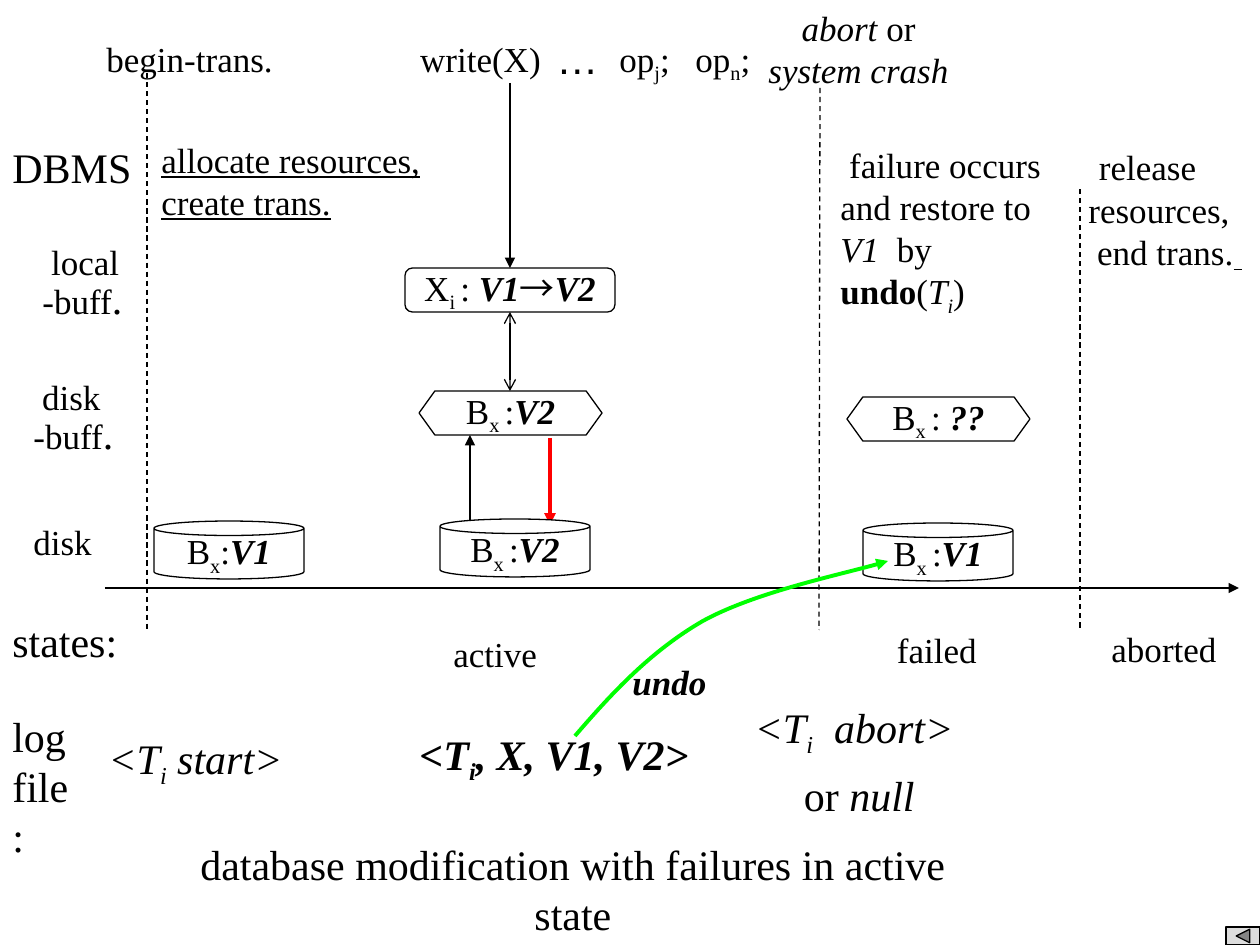
from dataclasses import dataclass
from typing import NamedTuple

from lxml import etree
from pptx import Presentation
from pptx.dml.color import RGBColor
from pptx.enum.dml import MSO_LINE
from pptx.enum.shapes import MSO_CONNECTOR, MSO_SHAPE
from pptx.enum.text import MSO_ANCHOR, MSO_AUTO_SIZE, PP_ALIGN
from pptx.oxml.ns import qn
from pptx.util import Emu, Pt

LEFT, CENTER = PP_ALIGN.LEFT, PP_ALIGN.CENTER
CAN, HEXAGON = MSO_SHAPE.CAN, MSO_SHAPE.HEXAGON
ROUNDED = MSO_SHAPE.ROUNDED_RECTANGLE
BACK_BUTTON = MSO_SHAPE.ACTION_BUTTON_BACK_OR_PREVIOUS
TOP, BOTTOM = 0, 2
EMU_PER_PX = 914400 / 126
SERIF, SANS, CJK = "Times New Roman", "Arial", "Noto Sans CJK SC"
COLORS = {"ink": "000000", "paper": "FFFFFF", "flush": "FF0000",
          "undo": "00FF00", "button": "DDDDDD"}


class Run(NamedTuple):
    text: str
    style: str = ""  # b bold, i italic, u underline, s subscript
    size: int = 0
    font: str = SERIF


@dataclass
class Label:
    at: tuple[int, int, int, int]
    lines: list[list[Run]]
    size: int = 20
    align: PP_ALIGN = LEFT
    wrap: bool = False
    spacing: float = 1.0
    gap: int = 0
    indent: int = 0


@dataclass
class Node:
    kind: MSO_SHAPE
    at: tuple[int, int, int, int]
    runs: list[Run]
    adjust: float


@dataclass
class Line:
    start: tuple[int, int]
    end: tuple[int, int]
    color: str = "ink"
    width: float = 0.75
    dashed: bool = False
    head: str = ""
    tail: str = ""


def px(value: float) -> Emu:
    return Emu(round(value * EMU_PER_PX))


def rgb(name: str) -> RGBColor:
    return RGBColor.from_string(COLORS[name])


def write(frame, lines: list[list[Run]], *, size: int = 20, align: PP_ALIGN = LEFT,
          wrap: bool = False, spacing: float = 1.0, gap: int = 0, indent: int = 0) -> None:
    frame.word_wrap = wrap
    for index, runs in enumerate(lines):
        paragraph = frame.add_paragraph() if index else frame.paragraphs[0]
        paragraph.alignment = align
        if spacing != 1:
            paragraph.line_spacing = spacing
        if gap and index:
            paragraph.space_before = Pt(gap)
        if indent:
            paragraph.level = 1
            properties = paragraph._p.get_or_add_pPr()
            properties.set("marL", str(px(indent)))
            properties.set("indent", "0")
        for part in runs:
            run = paragraph.add_run()
            run.text = part.text
            font = run.font
            font.name, font.size = part.font, Pt(part.size or size)
            font.color.rgb = rgb("ink")
            font.bold, font.italic = "b" in part.style, "i" in part.style
            font.underline = "u" in part.style
            properties = run._r.get_or_add_rPr()
            etree.SubElement(properties, qn("a:ea")).set("typeface", part.font)
            if "s" in part.style:
                properties.set("baseline", "-25000")


def draw_label(slide, label: Label) -> None:
    frame = slide.shapes.add_textbox(*map(px, label.at)).text_frame
    frame.auto_size = MSO_AUTO_SIZE.SHAPE_TO_FIT_TEXT
    write(frame, label.lines, size=label.size, align=label.align, wrap=label.wrap,
          spacing=label.spacing, gap=label.gap, indent=label.indent)


def add_outlined(slide, kind: MSO_SHAPE, at: tuple[int, int, int, int], fill: str):
    shape = slide.shapes.add_shape(kind, *map(px, at))
    shape.shadow.inherit = False
    shape.fill.solid()
    shape.fill.fore_color.rgb = rgb(fill)
    shape.line.color.rgb = rgb("ink")
    shape.line.width = Pt(0.75)
    return shape


def draw_node(slide, node: Node):
    shape = add_outlined(slide, node.kind, node.at, "paper")
    shape.adjustments[0] = node.adjust
    shape.text_frame.vertical_anchor = MSO_ANCHOR.MIDDLE
    write(shape.text_frame, [node.runs], align=CENTER)
    return shape


def style_line(shape, line: Line) -> None:
    shape.line.color.rgb = rgb(line.color)
    shape.line.width = Pt(line.width)
    if line.dashed:
        shape.line.dash_style = MSO_LINE.DASH
    outline = shape.line._get_or_add_ln()
    for tag, arrow in (("a:headEnd", line.head), ("a:tailEnd", line.tail)):
        if arrow:
            etree.SubElement(outline, qn(tag)).set("type", arrow)


def draw_line(slide, line: Line):
    connector = slide.shapes.add_connector(
        MSO_CONNECTOR.STRAIGHT, *map(px, line.start + line.end))
    style_line(connector, line)
    etree.SubElement(connector._element.spPr, qn("a:effectLst"))
    return connector


def draw_curve(slide, points: list[tuple[int, int]], line: Line) -> None:
    builder = slide.shapes.build_freeform(*points[0], scale=EMU_PER_PX)
    builder.add_line_segments(points[1:], close=False)
    curve = builder.convert_to_shape()
    curve.shadow.inherit = False
    curve.fill.background()
    style_line(curve, line)
    # Every three vertices become one Bezier segment
    steps = list(curve._element.iter(qn("a:lnTo")))
    outline = steps[0].getparent()
    for first in range(0, len(steps), 3):
        bezier = etree.SubElement(outline, qn("a:cubicBezTo"))
        for step in steps[first:first + 3]:
            bezier.append(step[0])
            outline.remove(step)


def block(value: str, space: str = " ", colon: str = ":") -> list[Run]:
    return [Run("B"), Run("x" + space, "s"), Run(colon), Run(value, "bi")]


def operation(index: str) -> list[Run]:
    return [Run("op"), Run(index, "s"), Run(";")]


def log_entry(rest: str, style: str = "i") -> list[Run]:
    return [Run("<T", style), Run("i", style + "s"), Run(rest, style)]


def buffer_lines(place: str) -> list[list[Run]]:
    return [[Run(place)], [Run("-buff"), Run(".", size=24)]]


LINES = [
    Line((105, 588), (1239, 588), tail="triangle"),
    Line((147, 73), (147, 630), dashed=True),
    Line((820, 88), (819, 630), dashed=True),
    Line((1080, 189), (1080, 630), dashed=True),
    Line((550, 438), (550, 525), "flush", 2.25, tail="triangle"),
    Line((470, 528), (470, 435), tail="triangle"),
]
LOCAL_BUFFER = Node(ROUNDED, (405, 268, 210, 44), [
    Run("X"), Run("i ", "s"), Run(": "), Run("V1", "bi"), Run("→", font=CJK),
    Run("V2", "bi")], 0.17)
NODES = [
    Node(CAN, (154, 521, 150, 58), block("V1", space=""), 0.25),
    Node(CAN, (440, 519, 150, 58), block("V2"), 0.25),
    Node(CAN, (863, 523, 150, 58), block("V1"), 0.25),
    Node(HEXAGON, (419, 391, 183, 44), block("V2"), 0.36),
    Node(HEXAGON, (847, 397, 183, 44), block("??", colon=": "), 0.36),
]
LABELS = [
    # Operations
    Label((94, 31, 194, 55), [[Run("begin-trans.")]]),
    Label((399, 31, 157, 55), [[Run(" write(X)")]]),
    Label((544, 26, 67, 63), [[Run("…", font=SANS)]], 24),
    Label((607, 31, 78, 60), [operation("j")]),
    Label((683, 31, 82, 60), [operation("n")]),
    Label((756, 0, 205, 97), [[Run(" "), Run("abort", "i"), Run(" or ")],
                              [Run("system crash", "i")]], align=CENTER),
    # Row headings
    Label((0, 135, 144, 63), [[Run("DBMS")]], 24),
    Label((30, 242, 106, 87), buffer_lines(" local"), spacing=0.8),
    Label((21, 377, 106, 87), buffer_lines(" disk"), spacing=0.8),
    Label((21, 514, 87, 55), [[Run("disk")]]),
    Label((0, 609, 142, 63), [[Run("states:")]], 24),
    Label((0, 704, 101, 164), [[Run("log")], [Run("file :")]], 24, wrap=True),
    # Actions of the DBMS
    Label((149, 132, 286, 97), [[Run("allocate resources,", "u")],
                                [Run("create trans.", "u")]]),
    Label((828, 137, 233, 186), [
        [Run(" failure occurs ")],
        [Run("and restore to  "), Run("V1", "i"), Run("  by "), Run("undo", "b"),
         Run("("), Run("T", "i"), Run("i", "is"), Run(")")]], wrap=True),
    Label((1076, 132, 184, 147), [[Run(" ", size=24), Run("release")], [Run("resources,")],
                                  [Run(" end trans."), Run(" ", "u")]]),
    # States
    Label((441, 626, 112, 55), [[Run("active")]]),
    Label((874, 615, 119, 63), [[Run(" ", size=24), Run("failed")]]),
    Label((1098, 621, 132, 55), [[Run("aborted")]], align=CENTER),
    # Log file
    Label((96, 726, 204, 71), [log_entry(" start>")], 24),
    Label((407, 722, 297, 71), [log_entry(", X, V1, V2>", "bi")], 24),
    Label((660, 695, 325, 131), [log_entry("  abort>"),
                                 [Run(" ", "i"), Run("or"), Run(" null", "i")]],
          24, CENTER, wrap=True, gap=6, indent=63),
    Label((620, 654, 102, 55), [[Run("undo", "bi")]]),
    # Caption
    Label((181, 832, 784, 113),
          [[Run("database modification with failures in active state")]],
          24, CENTER, wrap=True),
]
UNDO_POINTS = [(575, 736), (612, 693), (651, 651), (703, 621),
               (756, 592), (858, 571), (888, 561)]


def main() -> None:
    deck = Presentation()
    deck.slide_width, deck.slide_height = px(1260), px(945)
    slide = deck.slides.add_slide(deck.slide_layouts[6])

    # Timeline, stage borders and block transfers
    for line in LINES:
        draw_line(slide, line)

    # Buffers and disks
    for node in NODES:
        draw_node(slide, node)
    local_buffer = draw_node(slide, LOCAL_BUFFER)
    written = draw_line(slide, Line((510, 83), (510, 268), tail="triangle"))
    written.end_connect(local_buffer, TOP)
    exchange = draw_line(slide, Line((510, 312), (510, 391), head="arrow", tail="arrow"))
    exchange.begin_connect(local_buffer, BOTTOM)

    for label in LABELS:
        draw_label(slide, label)

    # Undo arrow and back button
    draw_curve(slide, UNDO_POINTS,
               Line(UNDO_POINTS[0], UNDO_POINTS[-1], "undo", 2.25, tail="triangle"))
    add_outlined(slide, BACK_BUTTON, (1226, 927, 34, 18), "button")
    deck.save("out.pptx")


if __name__ == "__main__":
    main()
